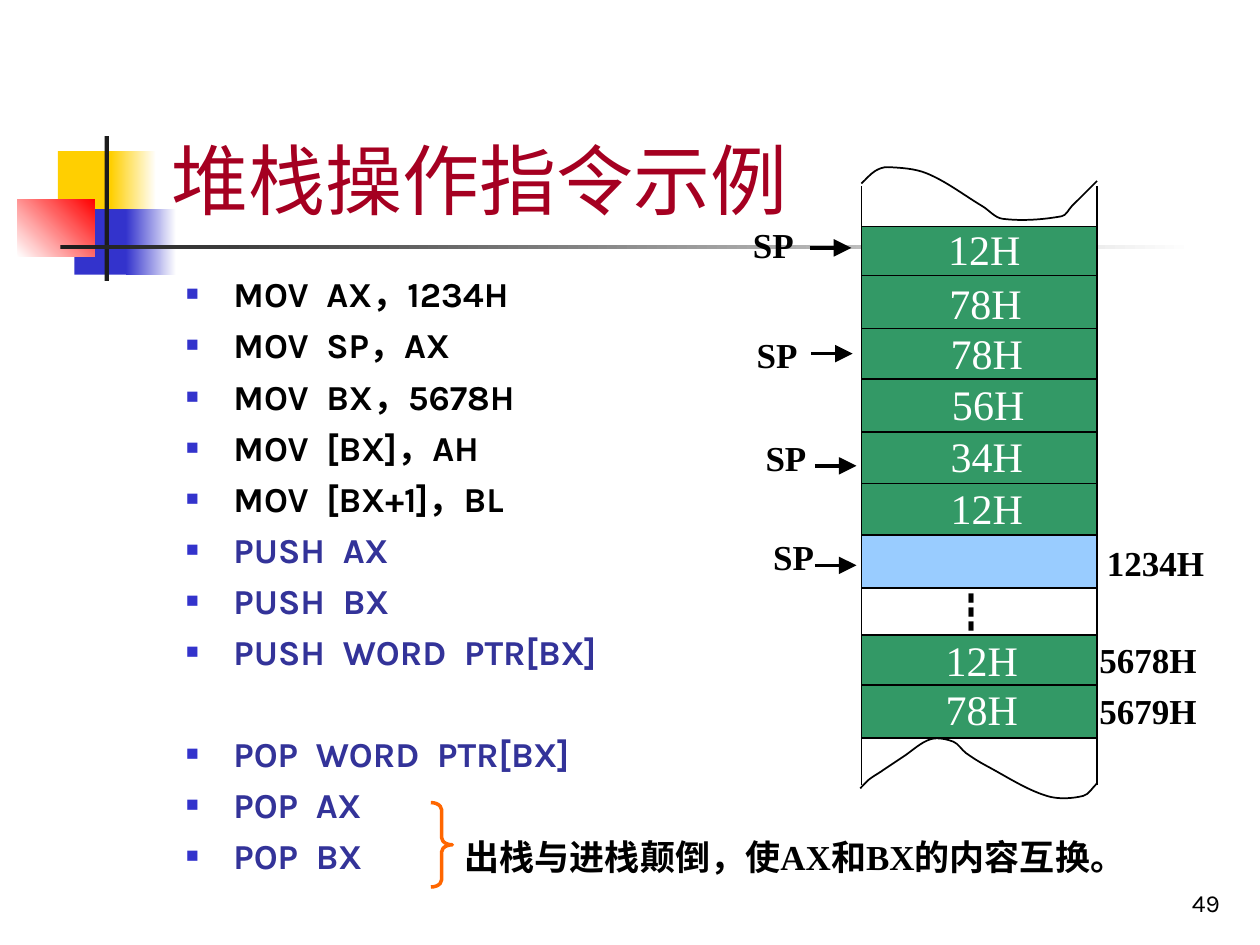
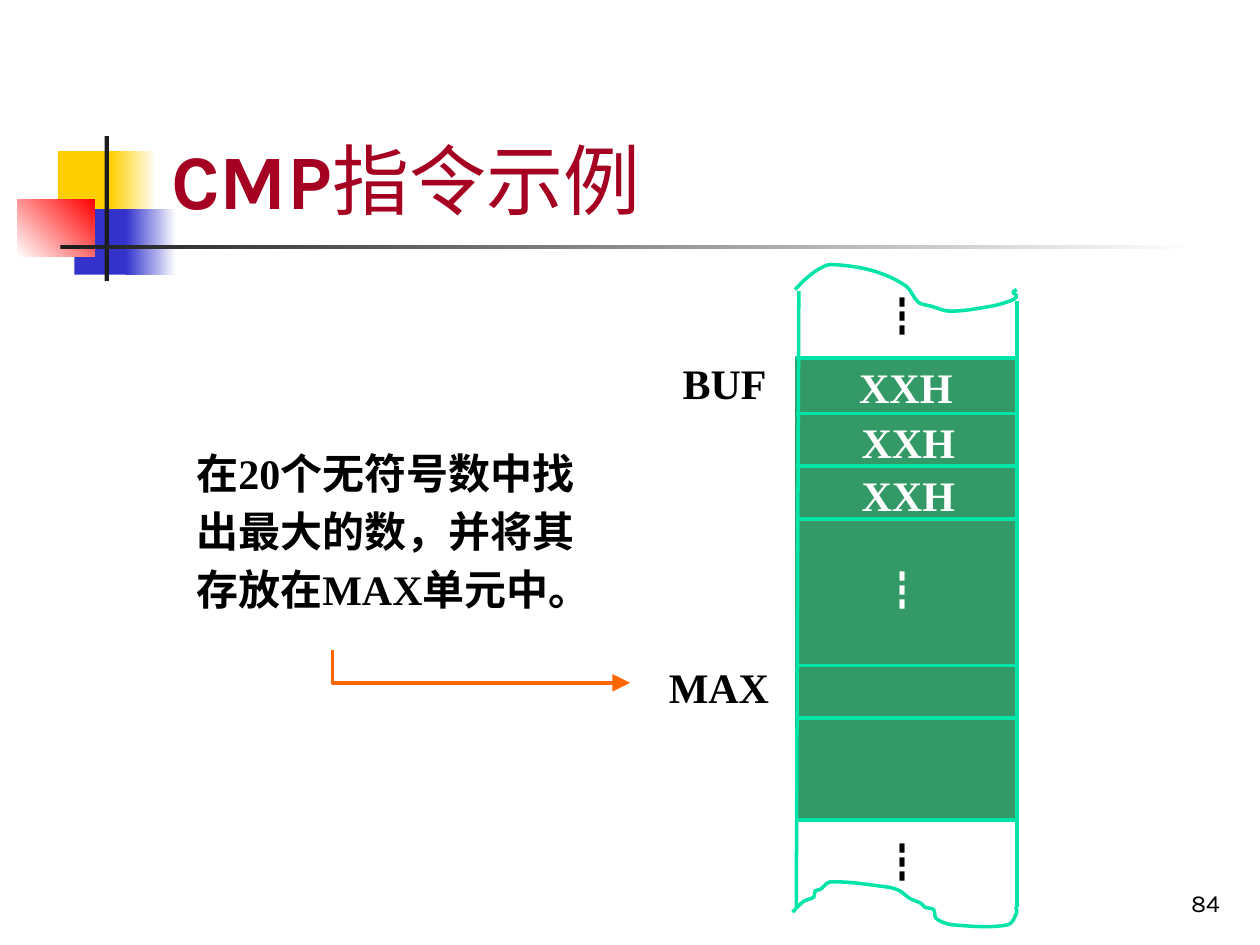
from collections import namedtuple
from math import dist

from lxml import etree
from pptx import Presentation
from pptx.dml.color import RGBColor
from pptx.enum.shapes import MSO_CONNECTOR, MSO_SHAPE
from pptx.enum.text import MSO_ANCHOR, PP_ALIGN
from pptx.oxml.ns import qn
from pptx.util import Emu, Inches, Pt

RECT, BRACE = MSO_SHAPE.RECTANGLE, MSO_SHAPE.RIGHT_BRACE
STRAIGHT, ELBOW = MSO_CONNECTOR.STRAIGHT, MSO_CONNECTOR.ELBOW
TOP, BOTTOM = MSO_ANCHOR.TOP, MSO_ANCHOR.BOTTOM
LEFT, RIGHT = PP_ALIGN.LEFT, PP_ALIGN.RIGHT

# The slide is a grid of 100 columns by 75 rows; all lengths are in its cells
WIDTH, HEIGHT = Inches(10), Inches(7.5)
CELL = WIDTH // 100
Box = namedtuple("Box", "x y w h")

HEX = {
    "black": "000000", "white": "FFFFFF", "title": "A50021", "ink": "1C1C1C",
    "gold": "FFCF01", "blue": "3333CC", "red": "FF0000", "code": "333399",
    "green": "339966", "sky": "99CCFF", "mint": "00E4A8", "orange": "FF6600",
}
SANS, SERIF, CJK = "Karla", "Times New Roman", "Noto Sans CJK SC"
DOTS = "┇"


def cells(n):
    return Emu(round(n * CELL))


def color(name):
    return RGBColor.from_string(HEX[name])


def inside(box, x, y, w=0, h=0):
    """Box at an offset from the corner of another box."""
    return Box(box.x + x, box.y + y, w, h)


# ---- Basic parts ----

def pen(shape, name, width):
    shape.line.color.rgb = color(name)
    shape.line.width = Pt(width)


def block(slide, box, fill=None, line=None, width=1, kind=RECT, fade=None, angle=0):
    shape = slide.shapes.add_shape(kind, *map(cells, box))
    shape.shadow.inherit = False
    if fade:
        shape.fill.gradient()
        shape.fill.gradient_angle = angle
        for stop, name in zip(shape.fill.gradient_stops, fade):
            stop.color.rgb = color(name)
    elif fill:
        shape.fill.solid()
        shape.fill.fore_color.rgb = color(fill)
    else:
        shape.fill.background()
    if line:
        pen(shape, line, width)
    else:
        shape.line.fill.background()
    return shape


def link(slide, start, end, name, width, arrow=False, kind=STRAIGHT):
    line = slide.shapes.add_connector(kind, *map(cells, (*start, *end)))
    pen(line, name, width)
    if arrow:
        etree.SubElement(line.line._get_or_add_ln(), qn("a:tailEnd"),
                         type="triangle", w="lg", len="lg")
    etree.SubElement(line._element.spPr, qn("a:effectLst"))
    return line


def curve(slide, box, knots, name, width):
    """Smooth open outline through the knots, one Bezier arc between two."""
    ends = [knots[0], *knots, knots[-1]]
    spots = [knots[0]]
    for a, b, c, d in zip(ends, ends[1:], ends[2:], ends[3:]):
        span = dist(b, c)
        out, back = span / (dist(a, b) + span) / 3, span / (span + dist(c, d)) / 3
        spots += [tuple(q + (r - p) * out for p, q, r in zip(a, b, c)),
                  tuple(r - (s - q) * back for q, r, s in zip(b, c, d)), c]
    spots = [(cells(box.x + x), cells(box.y + y)) for x, y in spots]
    draft = slide.shapes.build_freeform(*spots[0])
    draft.add_line_segments(spots[1:], close=False)
    shape = draft.convert_to_shape()
    # Join each three points into one arc
    steps = list(shape._element.iter(qn("a:lnTo")))
    for trio in zip(steps[::3], steps[1::3], steps[2::3]):
        arc = etree.SubElement(trio[0].getparent(), qn("a:cubicBezTo"))
        for step in trio:
            arc.append(step[0])
            step.getparent().remove(step)
    shape.shadow.inherit = False
    shape.fill.background()
    pen(shape, name, width)


def frame(slide, box, anchor=TOP):
    text = slide.shapes.add_textbox(*map(cells, box)).text_frame
    text.word_wrap = True
    text.vertical_anchor = anchor
    return text


def write(para, text, size, name="black", font=SERIF, bold=False):
    run = para.add_run()
    run.text = text
    run.font.size, run.font.bold, run.font.name = Pt(size), bold, font
    run.font.color.rgb = color(name)
    east = CJK if font == CJK else SANS
    etree.SubElement(run._r.get_or_add_rPr(), qn("a:ea"), typeface=east)


def label(slide, box, text, size, name="black", font=SERIF, bold=False):
    write(frame(slide, box).paragraphs[0], text, size, name, font, bold)


# ---- Shared look: corner squares, rule, title, page number ----

def base(deck, title, page):
    slide = deck.slides.add_slide(deck.slide_layouts[6])
    block(slide, Box(4.6, 12, 4.8, 5.2), "gold")
    block(slide, Box(8.8, 12, 3.6, 5.2), fade=("gold", "white"))
    block(slide, Box(5.9, 16.6, 4.6, 5.2), "blue")
    block(slide, Box(10, 16.6, 4, 5.2), fade=("blue", "white"))
    block(slide, Box(1.4, 15.8, 6.1, 4.6), fade=("white", "red"), angle=45)
    block(slide, Box(8.3, 10.8, 0.35, 11.5), "ink")
    block(slide, Box(4.8, 19.45, 90, 0.35), fade=("ink", "white"))
    foot = frame(slide, Box(77, 68.3, 20.8, 5), BOTTOM).paragraphs[0]
    foot.alignment = RIGHT
    write(foot, page, 14, font=SANS)
    head = frame(slide, Box(12.6, 2.35, 85.2, 16), BOTTOM).paragraphs[0]
    for text, bold in title:
        write(head, text, 44, "title", SANS, bold)
    return slide


# ---- Stack slide ----

MOVES = ["MOV  AX，1234H", "MOV  SP，AX", "MOV  BX，5678H", "MOV  [BX]，AH",
         "MOV  [BX+1]，BL"]
PUSHES = ["PUSH  AX", "PUSH  BX", "PUSH  WORD  PTR[BX]"]
POPS = ["POP  WORD  PTR[BX]", "POP  AX", "POP  BX"]


def bullet(para):
    props = para._p.get_or_add_pPr()
    props.set("marL", str(cells(3.75)))
    props.set("indent", str(-cells(3.75)))
    tint = etree.SubElement(props, qn("a:buClr"))
    etree.SubElement(tint, qn("a:srgbClr"), val=HEX["blue"])
    etree.SubElement(props, qn("a:buSzPct"), val="60000")
    etree.SubElement(props, qn("a:buFont"), typeface=SERIF)
    etree.SubElement(props, qn("a:buChar"), char="■")


def listing(slide, box):
    text = frame(slide, box)
    for i, line in enumerate(MOVES + PUSHES + POPS):
        para = text.paragraphs[0] if i == 0 else text.add_paragraph()
        para.alignment = LEFT
        para.line_spacing = 1.05
        # One free line sets the POP group apart
        para.space_before = Pt(32.2 if line == POPS[0] else 3)
        para.space_after = Pt(1)
        bullet(para)
        write(para, line, 20, "black" if line in MOVES else "code", SANS, True)


def remark(slide, box):
    brace = block(slide, Box(box.x, box.y, 1.7, 6.7), None, "orange", 2, BRACE)
    brace.adjustments[0], brace.adjustments[1] = 0.333, 0.5
    label(slide, inside(box, 1.7, 2.1, 58.2, 4.4),
          "出栈与进栈颠倒，使AX和BX的内容互换。", 20, bold=True)


def stack(slide, box):
    # Side walls and torn ends
    for x in (0, box.w):
        link(slide, (box.x + x, box.y + 1.5), (box.x + x, box.y + 49), "black", 1)
    curve(slide, box, [(0, 1.3), (1.1, 0.3), (2.1, 0), (5.2, 0.5), (9.6, 3.1),
                       (11.2, 4.1), (15.9, 3.9), (16.7, 3.1), (18.7, 1.1)], "black", 1)
    curve(slide, box, [(-0.1, 49.3), (0.6, 48.6), (1.5, 48), (3.3, 46.8), (5.5, 45.4),
                       (7.3, 45.6), (8.3, 46.5), (9.9, 47.5), (14.7, 49.9),
                       (17.6, 49.9), (18.7, 48.9)], "black", 1)
    # Memory cells: top, value, and corner of the value
    bytes_ = [(37.1, "12H", 5.7, 36.6), (41.1, "78H", 5.7, 40.5),
              (20.9, "34H", 6.1, 20.4), (25.1, "12H", 6.1, 24.5),
              (12.6, "78H", 6.1, 12.2), (16.8, "56H", 6.2, 16.3),
              (4.7, "12H", 5.9, 4), (8.6, "78H", 6, 8.3)]
    for top, *_ in bytes_:
        block(slide, inside(box, 0, top, box.w, 4.2), "green", "black")
    block(slide, inside(box, 0, 29.2, box.w, 4.2), "sky", "black")
    for _, value, x, y in bytes_:
        label(slide, inside(box, x, y, 9.2, 5), value, 24, "white")
    label(slide, inside(box, 6.1, 32.8, 6.7, 5), DOTS, 24, font=CJK)
    # Addresses on the right
    for value, x, y in [("1234H", 18.5, 29.2), ("5678H", 17.9, 36.9), ("5679H", 17.9, 41)]:
        label(slide, inside(box, x, y, 10.3, 4.3), value, 20, bold=True)
    # Stack pointer on the left: corner of the label, start of the arrow
    for x, y, start, level in [(-8, 28.7, -3.7, 31.6), (-8.6, 20.9, -3.7, 23.7),
                               (-9.3, 12.7, -4, 14.8), (-9.6, 4, -4.1, 6.4)]:
        label(slide, inside(box, x, y, 6.2, 4.5), "SP", 20, bold=True)
        link(slide, inside(box, start, level)[:2], inside(box, start + 3.3, level)[:2],
             "black", 2, True)


def push_slide(deck):
    slide = base(deck, [("堆栈操作指令示例", False)], "49")
    listing(slide, Box(13.8, 21, 73.3, 49.6))
    remark(slide, Box(34.2, 63.7, 60, 6.7))
    stack(slide, Box(68.37, 13.27, 18.7, 50.3))


# ---- Compare slide ----

def buffer(slide, box):
    block(slide, inside(box, 0, 7.4, box.w, 36.7), "green", "green", 2)
    for y in (7.4, 11.8, 16, 20.2, 31.8, 36, 44.1):
        link(slide, inside(box, 0, y)[:2], inside(box, box.w, y)[:2], "mint", 2)
    for top, low, y in [(0.2, 0, 2.1), (box.w, box.w, 2.9)]:
        link(slide, inside(box, top, y)[:2], inside(box, low, 51)[:2], "mint", 2)
    # Torn ends
    curve(slide, box, [(-0.1, 2), (0.8, 1.1), (1.9, 0.3), (2.8, 0), (6.1, 0.5),
                       (8.7, 1.7), (9.7, 3), (10.7, 3.3), (12.2, 3.7), (15.5, 3.3),
                       (17.2, 2.8), (17.5, 2.5), (17.2, 2.2), (17.5, 2)], "mint", 2)
    curve(slide, box, [(-0.3, 51.4), (0.5, 50.6), (0.9, 50.4), (1.4, 50.2), (1.5, 49.7),
                       (1.9, 49.6), (2.7, 49), (7.2, 49.4), (8.2, 49.7), (9, 50.3),
                       (9.9, 50.7), (10.2, 51), (10.9, 51.2), (11.1, 51.9),
                       (12.4, 52.4), (16.8, 52.4), (17.5, 51.4), (17.4, 51)], "mint", 2)
    for y, name in [(1.6, "black"), (44.9, "black"), (23.3, "white")]:
        label(slide, inside(box, 5.8, y, 6.7, 5), DOTS, 24, name, CJK)
    for text, x, y, name in [("MAX", -11.1, 31, "black"), ("BUF", -10, 6.9, "black"),
                             ("XXH", 4, 7.2, "white"), ("XXH", 4.2, 11.6, "white"),
                             ("XXH", 4.2, 15.8, "white")]:
        label(slide, inside(box, x, y, 11.7, 5), text, 24, name, bold=True)


def task(slide, box):
    para = frame(slide, box).paragraphs[0]
    para.line_spacing = 1.15
    para._p.get_or_add_pPr().set("hangingPunct", "0")
    for text, font in [("在20个无符号数中", SERIF), ("找出", SANS),
                       ("最大的数，并将其存放在MAX单元中。", SERIF)]:
        write(para, text, 24, font=font, bold=True)
    # Elbow arrow, turned to run down and then right
    bend = link(slide, inside(box, 22.3, 6.7)[:2], inside(box, 24.9, 30.3)[:2],
                "orange", 2, True, ELBOW)
    props = bend._element.spPr
    props.find(qn("a:prstGeom")).set("prst", "bentConnector2")
    turn = props.find(qn("a:xfrm"))
    turn.set("rot", str(270 * 60000))
    turn.set("flipH", "1")


def compare_slide(deck):
    slide = base(deck, [("CMP", True), ("指令示例", False)], "84")
    buffer(slide, Box(63.2, 21, 17.5, 53.3))
    task(slide, Box(14.6, 34.4, 34.5, 14.9))


def main():
    deck = Presentation()
    deck.slide_width, deck.slide_height = WIDTH, HEIGHT
    push_slide(deck)
    compare_slide(deck)
    deck.save("out.pptx")


if __name__ == "__main__":
    main()
